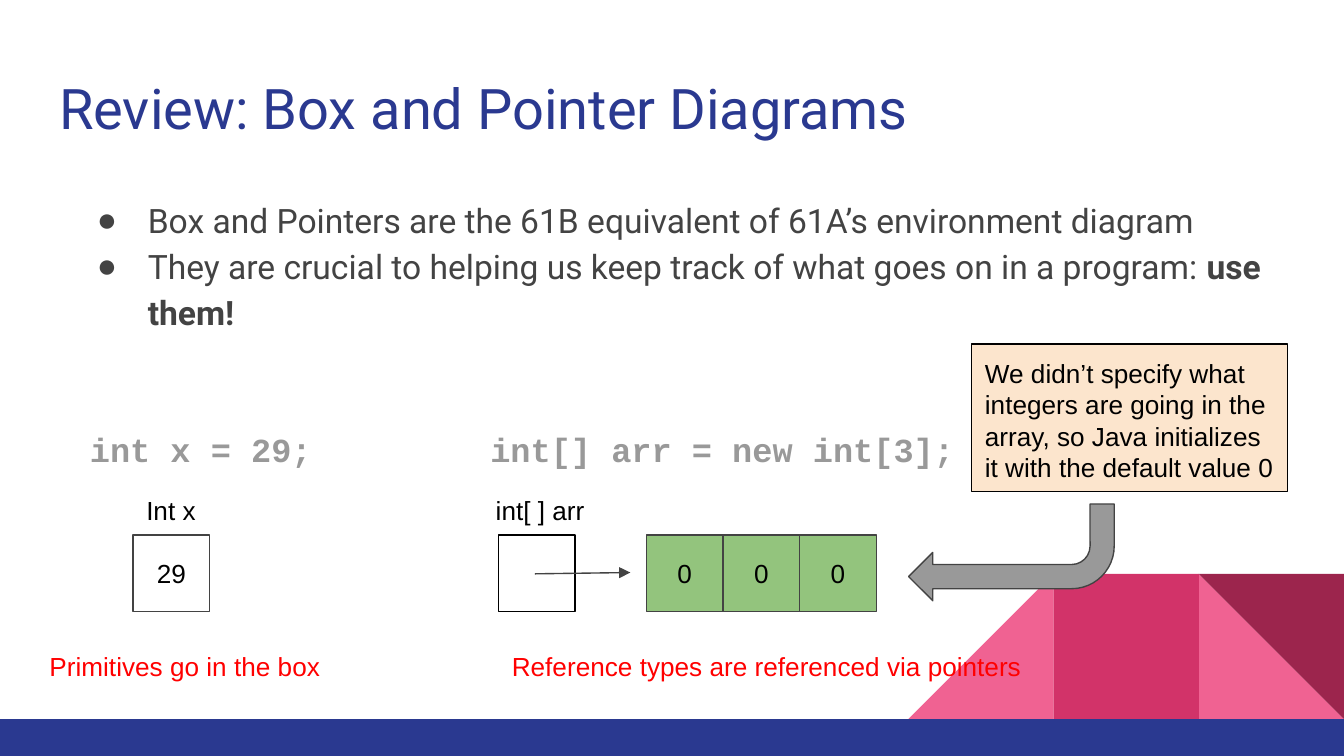
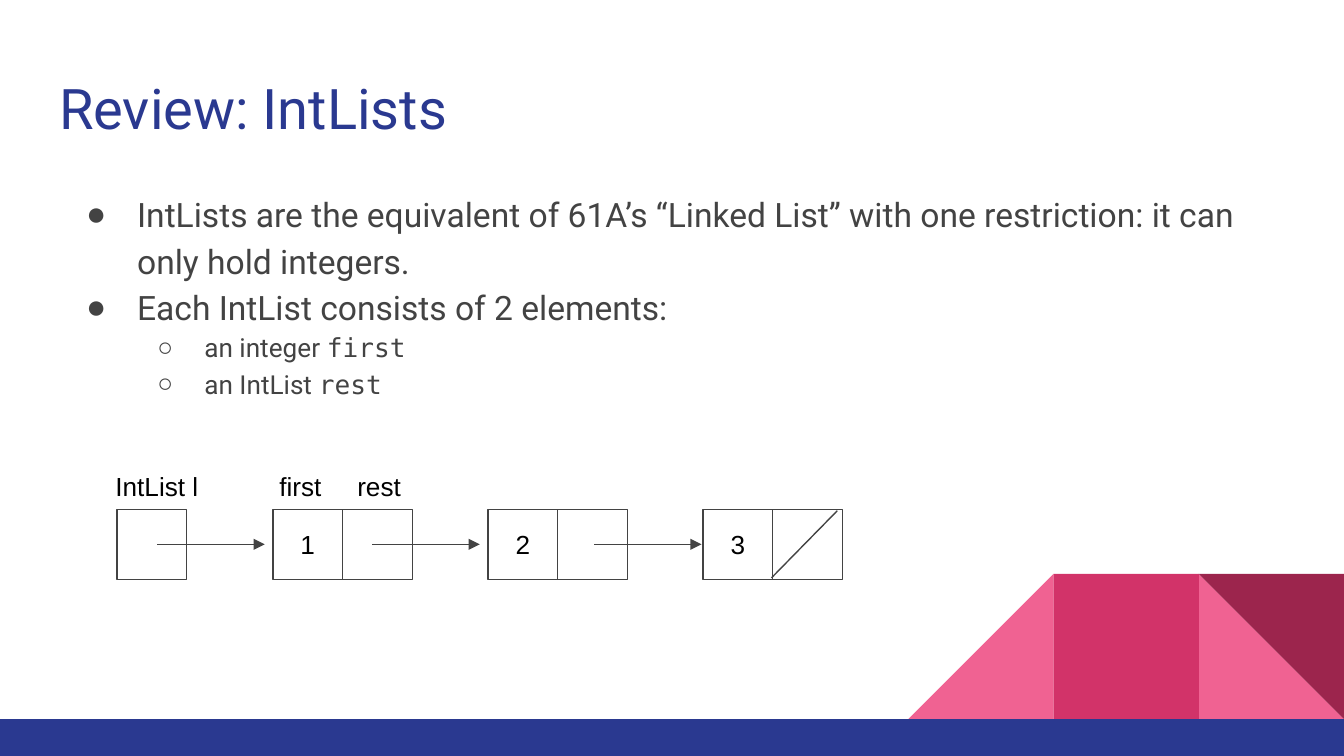
from lxml import etree
from pptx import Presentation
from pptx.dml.color import RGBColor
from pptx.enum.shapes import MSO_CONNECTOR, MSO_SHAPE
from pptx.enum.text import MSO_ANCHOR, MSO_AUTO_SIZE, PP_ALIGN
from pptx.oxml.ns import qn
from pptx.util import Inches, Pt

NAVY = RGBColor(0x2A, 0x39, 0x90)
PINK = RGBColor(0xF0, 0x62, 0x92)
ROSE = RGBColor(0xD2, 0x33, 0x69)
WINE = RGBColor(0x9C, 0x25, 0x4D)
CHARCOAL = RGBColor(0x43, 0x43, 0x43)
GRAY = RGBColor(0x99, 0x99, 0x99)
BLACK = RGBColor(0, 0, 0)
RED = RGBColor(0xFF, 0, 0)
GREEN = RGBColor(0x93, 0xC4, 0x7D)
PEACH = RGBColor(0xFC, 0xE5, 0xCD)

HEADING_FONT, LABEL_FONT = "Roboto", "Arial"
CODE_FONT, FIELD_FONT = "Courier New", "DejaVu Sans Mono"
WIDTH = 10
HEIGHT = WIDTH * 9 / 16
TITLE_AREA = (0.34, 0.45, 9.32, 0.66)
TILE = 1.08
BAND_TOP = 5.35
LEVELS = [("●", 0.5, -0.38, 18), ("○", 1, -0.35, 14)]

POINTERS = {
    "title": "Review: Box and Pointer Diagrams",
    "area": (0.5, 1.34, 8.99, 1.22),
    "bullets": [
        (0, [("Box and Pointers are the 61B equivalent of 61A’s environment diagram", "plain")]),
        (0, [("They are crucial to helping us keep track of what goes on in a program: ", "plain"),
             ("use them!", "bold")]),
    ],
}
INTLISTS = {
    "title": "Review: IntLists",
    "area": (0.42, 1.3, 8.99, 1.91),
    "bullets": [
        (0, [("IntLists are the equivalent of 61A’s “Linked List” with one restriction: "
              "it can only hold integers.", "plain")]),
        (0, [("Each IntList consists of 2 elements:", "plain")]),
        (1, [("an integer ", "plain"), ("first", "code")]),
        (1, [("an IntList ", "plain"), ("rest", "code")]),
    ],
}
CODE_LINES = [("int x = 29;", (0.57, 3.05, 3.08, 1.96)),
              ("int[] arr = new int[3];", (3.55, 3.05, 3.93, 1.96))]
VARIABLES = [("Int x", (0.99, 3.58, 0.6, 0.33)), ("int[ ] arr", (3.59, 3.58, 1.02, 0.33))]
LESSONS = [("Primitives go in the box", (0.27, 4.74, 2.26, 0.4)),
           ("Reference types are referenced via pointers", (3.71, 4.74, 4.86, 0.4))]
DEFAULT_NOTE = ("We didn’t specify what integers are going in the array, "
                "so Java initializes it with the default value 0")
ARRAY_VALUES = ["0", "0", "0"]
NODE_VALUES = ["1", "2", "3"]
FIELD_LABELS = "IntList l\tfirst\trest"
FIELD_STOPS = [1.22, 1.8]


def inches(values):
    """Convert plain numbers to lengths."""
    return [Inches(value) for value in values]


def prepare_frame(frame, anchor=MSO_ANCHOR.TOP):
    """Give a text frame the shared insets and wrapping."""
    frame.word_wrap = True
    frame.auto_size = MSO_AUTO_SIZE.NONE
    frame.vertical_anchor = anchor
    frame.margin_left = frame.margin_right = Inches(0.1)
    frame.margin_top = frame.margin_bottom = Inches(0.1)


def style_run(run, size, font, color, bold=False):
    """Set the look of one run."""
    run.font.size = Pt(size)
    run.font.name = font
    run.font.bold = bold
    run.font.color.rgb = color


def fill_text(frame, text, size=14, font=LABEL_FONT, color=BLACK, bold=False,
              align=PP_ALIGN.LEFT, anchor=MSO_ANCHOR.TOP, spacing=1.0):
    """Write one styled paragraph."""
    prepare_frame(frame, anchor)
    frame.text = text
    paragraph = frame.paragraphs[0]
    paragraph.alignment = align
    paragraph.line_spacing = spacing
    for run in paragraph.runs:
        style_run(run, size, font, color, bold)
    return paragraph


def add_label(slide, text, area, **style):
    """Add a text box and return its paragraph."""
    return fill_text(slide.shapes.add_textbox(*inches(area)).text_frame, text, **style)


def add_figure(shapes, preset, area, fill=None, line=None):
    """Add a flat preset shape."""
    figure = shapes.add_shape(preset, *inches(area))
    figure.shadow.inherit = False
    if fill is None:
        figure.fill.background()
    else:
        figure.fill.solid()
        figure.fill.fore_color.rgb = fill
    if line is None:
        figure.line.fill.background()
    else:
        figure.line.color.rgb = line
        figure.line.width = Pt(0.75)
    return figure


def add_cell(slide, left, top, side, value="", fill=None, line=CHARCOAL):
    """Add a square memory box with an optional value."""
    cell = add_figure(slide.shapes, MSO_SHAPE.RECTANGLE, (left, top, side, side), fill, line)
    if value:
        fill_text(cell.text_frame, value, align=PP_ALIGN.CENTER, anchor=MSO_ANCHOR.MIDDLE)


def add_line(slide, start, end, arrow=True):
    """Add a thin line, with an arrowhead for pointers."""
    pointer = slide.shapes.add_connector(MSO_CONNECTOR.STRAIGHT, *inches(start + end))
    pointer.line.color.rgb = CHARCOAL
    pointer.line.width = Pt(0.75)
    properties = pointer.element.spPr
    if arrow:
        etree.SubElement(properties.get_or_add_ln(), qn("a:tailEnd"), type="triangle")
    etree.SubElement(properties, qn("a:effectLst"))


def add_bullet(paragraph, level, pieces):
    """Write one list item with its bullet and indents."""
    mark, margin, indent, size = LEVELS[level]
    paragraph.level = level
    paragraph.line_spacing = 1.15
    paragraph.space_before = Pt(0)
    properties = paragraph._p.get_or_add_pPr()
    properties.set("marL", str(Inches(margin)))
    properties.set("indent", str(Inches(indent)))
    tint = etree.SubElement(properties, qn("a:buClr"))
    etree.SubElement(tint, qn("a:srgbClr"), val=str(CHARCOAL))
    etree.SubElement(properties, qn("a:buFont"), typeface=LABEL_FONT)
    etree.SubElement(properties, qn("a:buChar"), char=mark)
    for text, look in pieces:
        run = paragraph.add_run()
        run.text = text
        font = FIELD_FONT if look == "code" else HEADING_FONT
        style_run(run, size, font, CHARCOAL, look == "bold")


def place(holder, area):
    """Move a placeholder."""
    holder.left, holder.top, holder.width, holder.height = inches(area)


def add_review(deck, layout, content):
    """Add a slide with its title and bullets."""
    slide = deck.slides.add_slide(layout)
    title, body = slide.shapes.title, slide.placeholders[1]
    place(title, TITLE_AREA)
    fill_text(title.text_frame, content["title"], 30, HEADING_FONT, NAVY)
    place(body, content["area"])
    frame = body.text_frame
    prepare_frame(frame)
    for index, (level, pieces) in enumerate(content["bullets"]):
        add_bullet(frame.add_paragraph() if index else frame.paragraphs[0], level, pieces)
    return slide


def decorate_layout(layout, slide):
    """Build the corner tiles and bottom band and move them to the layout."""
    decor = slide.shapes.add_group_shape()
    tiles = [(2, MSO_SHAPE.RIGHT_TRIANGLE, PINK, 0, False),
             (0, MSO_SHAPE.RIGHT_TRIANGLE, PINK, 0, True),
             (1, MSO_SHAPE.RECTANGLE, ROSE, 0, False),
             (2, MSO_SHAPE.RIGHT_TRIANGLE, WINE, 180, False)]
    for column, preset, fill, turn, mirrored in tiles:
        left = WIDTH - (3 - column) * TILE
        tile = add_figure(decor.shapes, preset, (left, BAND_TOP - TILE, TILE, TILE), fill)
        tile.rotation = turn
        if mirrored:
            tile.element.spPr.xfrm.set("flipH", "1")
    add_figure(decor.shapes, MSO_SHAPE.RECTANGLE, (0, BAND_TOP, WIDTH, HEIGHT - BAND_TOP), NAVY)
    layout.shapes.element.insert(2, decor.element)


def draw_pointers(slide):
    """Draw the primitive box and the array behind its pointer."""
    top, side = 3.98, 0.57
    add_cell(slide, 0.99, top, side, "29")
    for text, area in CODE_LINES:
        add_label(slide, text, area, size=18, font=CODE_FONT, color=GRAY, bold=True, spacing=1.15)
    add_cell(slide, 3.71, top, side, line=BLACK)
    add_line(slide, (3.98, 4.27), (4.69, 4.26))
    for index, value in enumerate(ARRAY_VALUES):
        add_cell(slide, 4.81 + index * side, top, side, value, GREEN)
    for text, area in VARIABLES:
        add_label(slide, text, area)
    bend = add_figure(slide.shapes, MSO_SHAPE.BENT_ARROW, (6.76, 3.75, 1.53, 0.72), GRAY, CHARCOAL)
    bend.rotation = 180
    for index, amount in enumerate([0.25, 0.25, 0.25, 0.44]):
        bend.adjustments[index] = amount
    note = add_figure(slide.shapes, MSO_SHAPE.RECTANGLE, (7.23, 2.56, 2.35, 1.1), PEACH, BLACK)
    fill_text(note.text_frame, DEFAULT_NOTE)
    for text, area in LESSONS:
        add_label(slide, text, area, color=RED)


def draw_intlist(slide):
    """Draw the chain of list nodes."""
    top, side, pitch, first_node = 3.79, 0.52, 1.6, 2.03
    middle = top + side / 2
    add_cell(slide, 0.87, top, side)
    for index, value in enumerate(NODE_VALUES):
        left = first_node + index * pitch
        add_cell(slide, left, top, side, value)
        add_cell(slide, left + side, top, side)
    labels = add_label(slide, FIELD_LABELS, (0.76, 3.4, 5.49, 0.3))
    stops = etree.SubElement(labels._p.get_or_add_pPr(), qn("a:tabLst"))
    for stop in FIELD_STOPS:
        etree.SubElement(stops, qn("a:tab"), pos=str(Inches(stop)), algn="l")
    for start in (1.17, 2.77, 4.42):
        add_line(slide, (start, middle), (start + 0.8, middle))
    add_line(slide, (6.23, 3.8), (5.74, 4.3), arrow=False)


def main():
    """Build and save the deck."""
    deck = Presentation()
    deck.slide_width, deck.slide_height = inches((WIDTH, HEIGHT))
    layout = deck.slide_layouts[1]
    for holder in list(layout.placeholders):
        if holder.placeholder_format.idx > 1:
            holder.element.getparent().remove(holder.element)
    pointers = add_review(deck, layout, POINTERS)
    decorate_layout(layout, pointers)
    draw_pointers(pointers)
    draw_intlist(add_review(deck, layout, INTLISTS))
    deck.save("out.pptx")


if __name__ == "__main__":
    main()
